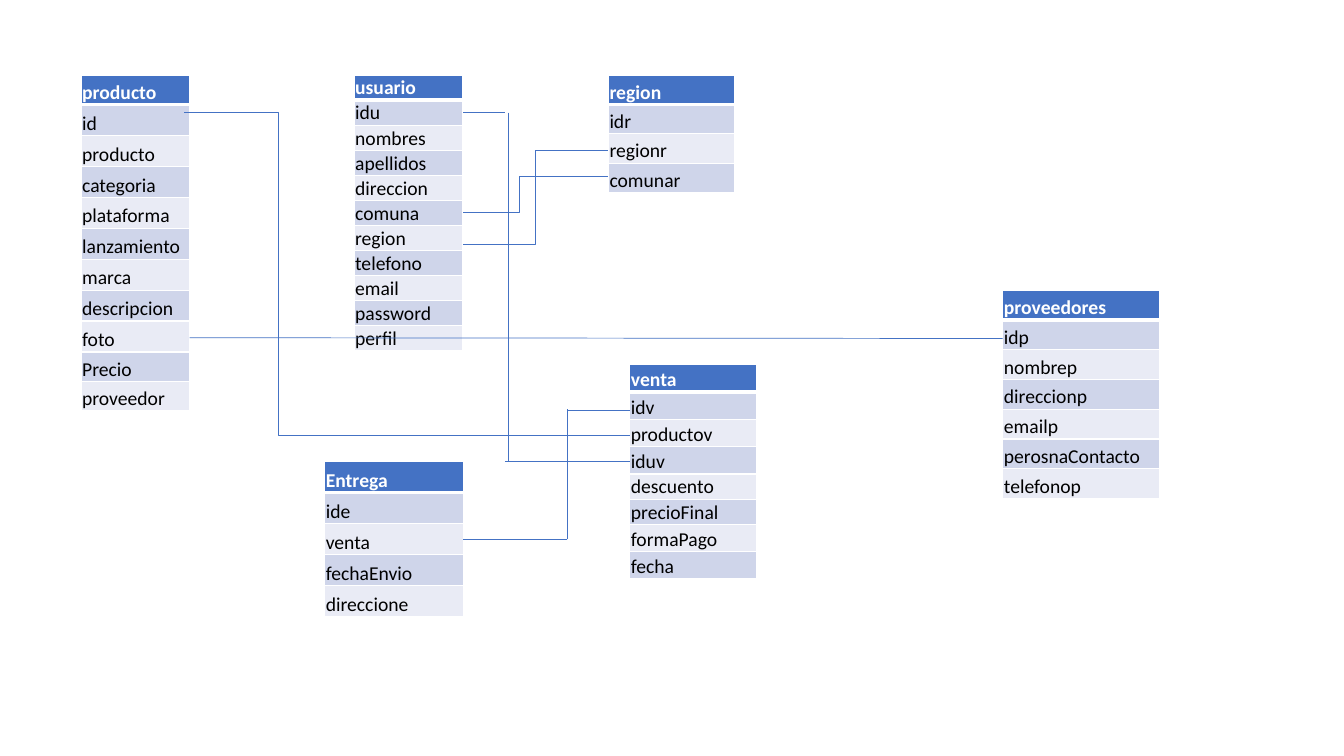
from dataclasses import dataclass
from typing import Optional

from lxml.etree import SubElement
from pptx import Presentation
from pptx.dml.color import RGBColor
from pptx.enum.shapes import MSO_CONNECTOR
from pptx.enum.text import MSO_ANCHOR
from pptx.oxml.ns import qn
from pptx.util import Cm, Pt

COLORS = {
    "header": "4472C4",
    "odd_row": "CFD5EA",
    "even_row": "E9EBF5",
    "border": "FFFFFF",
    "header_text": "FFFFFF",
    "field_text": "000000",
    "relation": "4472C4",
}
CELL_FORMAT = {
    "vertical_anchor": MSO_ANCHOR.BOTTOM,
    "margin_left": Cm(0.03),
    "margin_right": Cm(0.03),
    "margin_top": Cm(0.03),
    "margin_bottom": Cm(0),
}
FONT_FORMAT = {"name": "Calibri", "size": Pt(14)}


@dataclass
class Entity:
    """A database table: its title, fields and place in centimetres."""
    title: str
    fields: list[str]
    left: float
    top: float
    width: float
    row_height: float
    special_heights: Optional[dict[int, float]] = None


@dataclass
class Relation:
    """A line in centimetres; bend is the share of the width before the turn."""
    start: tuple[float, float]
    end: tuple[float, float]
    bend: Optional[float] = None


ENTITIES = [
    Entity("producto",
           ["id", "producto", "categoria", "plataforma", "lanzamiento", "marca",
            "descripcion", "foto", "Precio", "proveedor"],
           2.04, 1.89, 2.75, 0.78, {0: 0.74, 9: 0.74, 10: 0.74}),
    Entity("usuario",
           ["idu", "nombres", "apellidos", "direccion", "comuna", "region",
            "telefono", "email", "password", "perfil"],
           8.92, 1.89, 2.75, 0.63),
    Entity("region", ["idr", "regionr", "comunar"], 15.33, 1.89, 3.17, 0.74),
    Entity("venta",
           ["idv", "productov", "iduv", "descuento", "precioFinal", "formaPago",
            "fecha"],
           15.87, 9.19, 3.2, 0.69, {4: 0.63, 5: 0.63}),
    Entity("Entrega", ["ide", "venta", "fechaEnvio", "direccione"],
           8.18, 11.63, 3.5, 0.78),
    Entity("proveedores",
           ["idp", "nombrep", "direccionp", "emailp", "perosnaContacto",
            "telefonop"],
           25.27, 7.31, 3.96, 0.75),
]

RELATIONS = [
    # usuario to region
    Relation((11.67, 5.35), (15.33, 4.45), 0.39),
    Relation((11.67, 6.15), (15.33, 3.79), 0.5),
    # producto to venta
    Relation((4.65, 2.84), (15.87, 10.97), 0.21),
    # usuario to venta
    Relation((11.67, 2.84), (12.73, 2.84)),
    Relation((12.81, 2.84), (12.81, 11.63)),
    Relation((12.73, 11.63), (15.87, 11.63)),
    # proveedores to producto
    Relation((25.27, 8.53), (4.78, 8.51)),
    # venta to Entrega
    Relation((15.87, 10.34), (14.3, 10.34)),
    Relation((14.3, 10.31), (14.3, 13.59)),
    Relation((14.3, 13.59), (11.67, 13.59)),
]


def rgb(role: str) -> RGBColor:
    return RGBColor.from_string(COLORS[role])


def set_borders(cell, row: int) -> None:
    """Draw white cell borders, with a thick one below the header."""
    widths = {"L": 1, "R": 1, "T": 3 if row == 1 else 1, "B": 3 if row == 0 else 1}
    properties = cell._tc.get_or_add_tcPr()
    for side, points in widths.items():
        border = SubElement(properties, qn(f"a:ln{side}"), w=str(Pt(points)))
        SubElement(SubElement(border, qn("a:solidFill")), qn("a:srgbClr"),
                   val=COLORS["border"])


def draw_entity(slide, entity: Entity) -> None:
    labels = [entity.title, *entity.fields]
    special = entity.special_heights or {}
    heights = [special.get(row, entity.row_height) for row in range(len(labels))]
    grid = slide.shapes.add_table(
        len(labels), 1, Cm(entity.left), Cm(entity.top), Cm(entity.width),
        Cm(sum(heights))).table
    for row, (label, height) in enumerate(zip(labels, heights)):
        is_header = row == 0
        grid.rows[row].height = Cm(height)
        cell = grid.cell(row, 0)
        for name, value in CELL_FORMAT.items():
            setattr(cell, name, value)
        set_borders(cell, row)
        cell.fill.solid()
        band = "header" if is_header else "odd_row" if row % 2 else "even_row"
        cell.fill.fore_color.rgb = rgb(band)
        run = cell.text_frame.paragraphs[0].add_run()
        run.text = label
        for name, value in FONT_FORMAT.items():
            setattr(run.font, name, value)
        run.font.bold = is_header
        run.font.color.rgb = rgb("header_text" if is_header else "field_text")


def draw_relation(slide, relation: Relation) -> None:
    bent = relation.bend is not None
    link = slide.shapes.add_connector(
        MSO_CONNECTOR.ELBOW if bent else MSO_CONNECTOR.STRAIGHT,
        *(Cm(value) for value in relation.start + relation.end))
    link.line.color.rgb = rgb("relation")
    link.line.width = Pt(0.5)
    properties = link._element.spPr
    SubElement(properties, qn("a:effectLst"))
    if bent:
        geometry = properties.find(qn("a:prstGeom"))
        adjustments = geometry.find(qn("a:avLst"))
        SubElement(adjustments, qn("a:gd"), name="adj1",
                   fmla=f"val {round(relation.bend * 100000)}")


def main() -> None:
    deck = Presentation()
    deck.slide_width, deck.slide_height = Cm(33.87), Cm(19.05)
    slide = deck.slides.add_slide(deck.slide_layouts[6])
    # Database tables
    for entity in ENTITIES:
        draw_entity(slide, entity)
    # Lines between related fields
    for relation in RELATIONS:
        draw_relation(slide, relation)
    deck.save("out.pptx")


if __name__ == "__main__":
    main()
